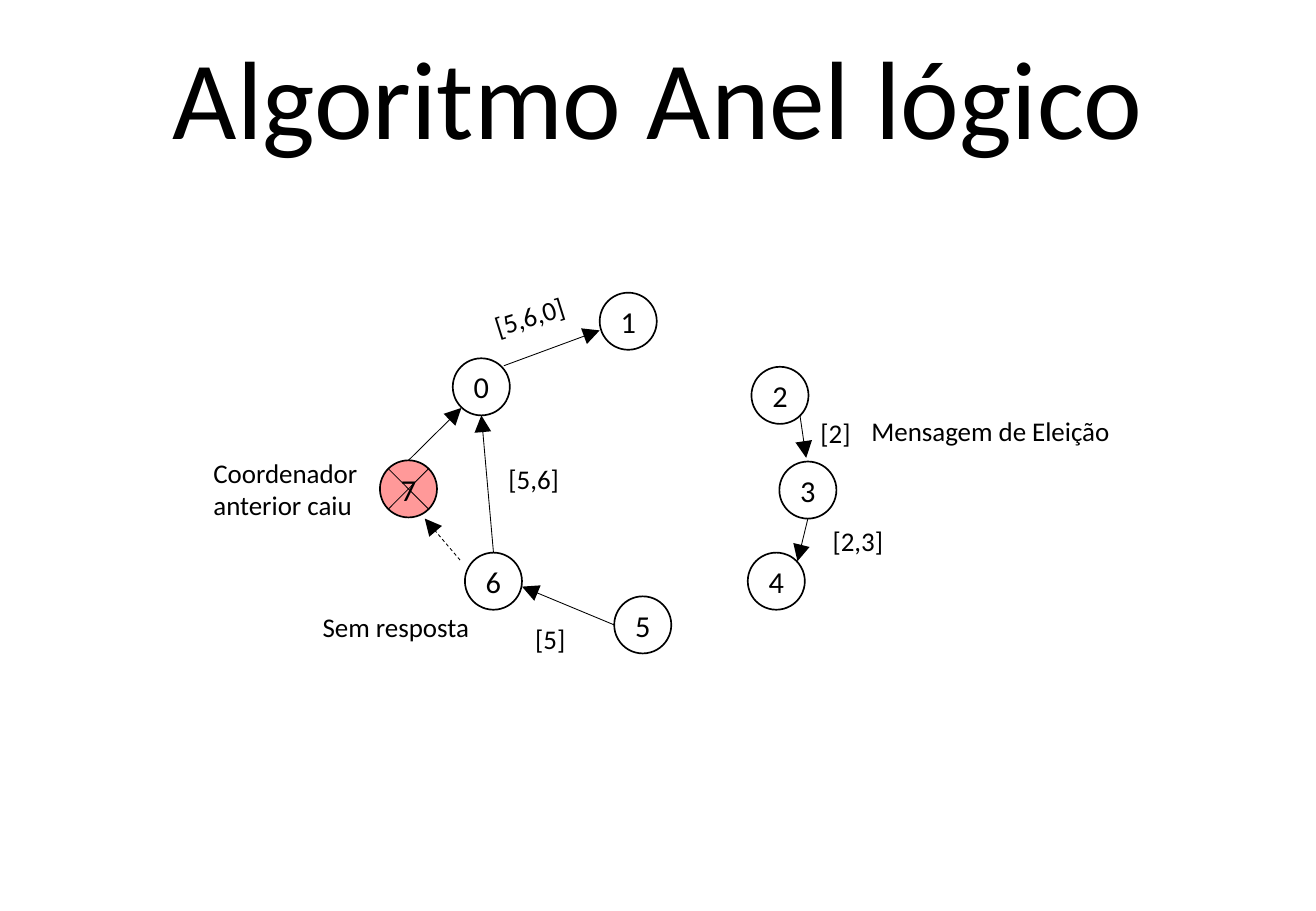
from lxml import etree
from pptx import Presentation
from pptx.dml.color import RGBColor
from pptx.enum.dml import MSO_LINE
from pptx.enum.shapes import MSO_CONNECTOR, MSO_SHAPE
from pptx.enum.text import MSO_ANCHOR, MSO_AUTO_SIZE, PP_ALIGN
from pptx.oxml.ns import qn
from pptx.util import Inches, Pt

STRAIGHT = MSO_CONNECTOR.STRAIGHT
OVAL = MSO_SHAPE.OVAL
DASH = MSO_LINE.DASH
MIDDLE, TOP = MSO_ANCHOR.MIDDLE, MSO_ANCHOR.TOP
CENTER, LEFT = PP_ALIGN.CENTER, PP_ALIGN.LEFT
FIT_SHAPE = MSO_AUTO_SIZE.SHAPE_TO_FIT_TEXT

# Content
COLORS = {"ink": "000000", "failed": "FF9999"}
FONT = "Calibri"
WIDTH, HEIGHT = 10.84, 7.5
DIAMETER = 0.47
TITLE = "Algoritmo Anel lógico"
FAILED = "7"

# Process: left and top in inches
NODES = {
    "0": (3.73, 2.95), "1": (4.94, 2.41), "2": (6.19, 3.02), "3": (6.42, 3.8),
    "4": (6.16, 4.55), "5": (5.06, 4.91), "6": (3.83, 4.55), "7": (3.13, 3.79),
}

# Sender, exit point, receiver, entry point (points in radii from the centre), dashed
MESSAGES = [
    ("0", (0.79, -0.74), "1", (-1, 0.32), False),
    ("2", (0.7, 0.7), "3", (-0.06, -1.13), False),
    ("3", (0, 1), "4", (0.74, -0.7), False),
    ("5", (-1, 0), "6", (1, 0.19), False),
    ("6", (0, -1), "0", (0, 1), False),
    ("6", (-1.17, -0.74), "7", (0.57, 1.04), True),
    ("7", (0, -1), "0", (-0.7, 0.74), False),
]

# Text, left, top, width, height, wraps, rotation
LABELS = [
    ("[5,6,0]", 3.97, 2.42, 0.78, 0.37, False, 342.4),
    ("[2]", 6.66, 3.38, 0.45, 0.37, False, 0),
    ("[2,3]", 6.76, 4.27, 0.61, 0.37, False, 0),
    ("[5]", 4.31, 5.08, 0.45, 0.37, False, 0),
    ("[5,6]", 4.09, 3.76, 0.61, 0.37, False, 0),
    ("Coordenador anterior caiu", 1.66, 3.71, 1.63, 0.64, True, 0),
    ("Mensagem de Eleição", 7.08, 3.36, 2.71, 0.37, True, 0),
    ("Sem resposta", 2.56, 4.98, 1.63, 0.37, True, 0),
]


def color(name):
    return RGBColor.from_string(COLORS[name])


def write(shape, text, size, alignment, anchor, wraps=True):
    frame = shape.text_frame
    frame.word_wrap = wraps
    frame.vertical_anchor = anchor
    frame.text = text
    paragraph = frame.paragraphs[0]
    paragraph.alignment = alignment
    paragraph.font.name = FONT
    paragraph.font.size = Pt(size)
    paragraph.font.color.rgb = color("ink")
    return paragraph


def add_node(slide, name):
    node = slide.shapes.add_shape(
        OVAL, *map(Inches, (*NODES[name], DIAMETER, DIAMETER)))
    node.shadow.inherit = False
    if name == FAILED:
        node.fill.solid()
        node.fill.fore_color.rgb = color("failed")
    else:
        node.fill.background()
    node.line.color.rgb = color("ink")
    node.line.width = Pt(1)
    write(node, name, 18, CENTER, MIDDLE)


def node_point(name, offset):
    return [Inches(corner + DIAMETER / 2 * (1 + share))
            for corner, share in zip(NODES[name], offset)]


def add_line(slide, start, end, arrow=True, dashed=False):
    connector = slide.shapes.add_connector(STRAIGHT, *start, *end)
    connector.line.color.rgb = color("ink")
    connector.line.width = Pt(0.5)
    if dashed:
        connector.line.dash_style = DASH
    properties = connector._element.spPr
    if arrow:
        etree.SubElement(properties.find(qn("a:ln")), qn("a:tailEnd"),
                         type="triangle", w="lg", len="lg")
    etree.SubElement(properties, qn("a:effectLst"))


def main():
    presentation = Presentation()
    presentation.slide_width, presentation.slide_height = Inches(WIDTH), Inches(HEIGHT)
    slide = presentation.slides.add_slide(presentation.slide_layouts[6])

    # Title
    title = slide.shapes.add_textbox(0, Inches(0.13), Inches(WIDTH), Inches(1.45))
    write(title, TITLE, 66, CENTER, MIDDLE).line_spacing = 0.9

    # Ring of processes, with the failed one crossed out
    for name in NODES:
        add_node(slide, name)
    for slope in (1, -1):
        add_line(slide, node_point(FAILED, (-0.72, -0.72 * slope)),
                 node_point(FAILED, (0.72, 0.72 * slope)), arrow=False)

    # Election messages
    for sender, leave, receiver, enter, dashed in MESSAGES:
        add_line(slide, node_point(sender, leave), node_point(receiver, enter),
                 dashed=dashed)

    # Labels; the short ones get spare room on the right to stay on one line
    for text, left, top, width, height, wraps, rotation in LABELS:
        label = slide.shapes.add_textbox(*map(Inches, (left, top, width, height)))
        label.rotation = rotation
        write(label, text, 16, LEFT, TOP, wraps)
        label.text_frame.auto_size = FIT_SHAPE
        if not wraps:
            label.text_frame.margin_right = 0

    presentation.save("out.pptx")


if __name__ == "__main__":
    main()
